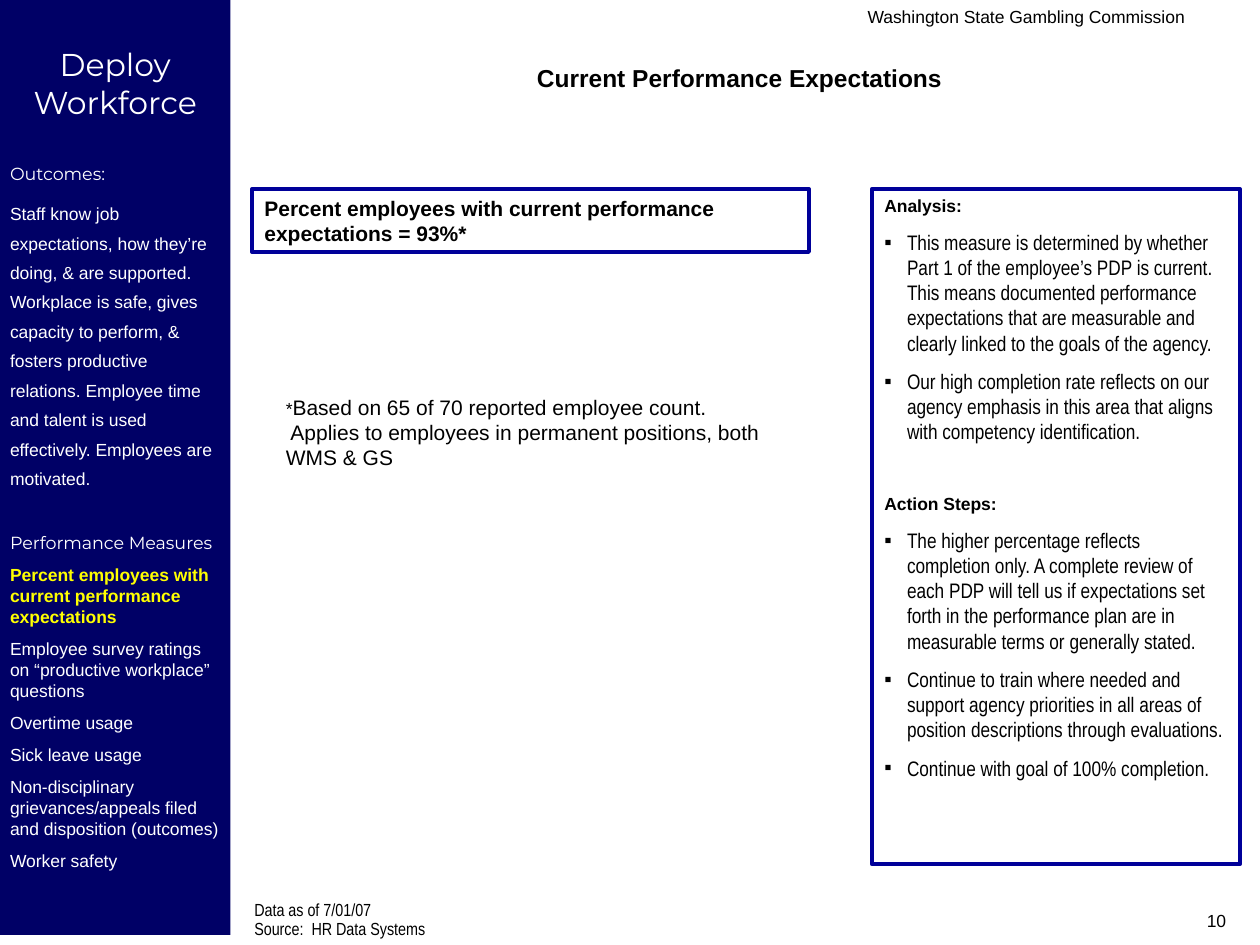
from lxml import etree
from pptx import Presentation
from pptx.dml.color import RGBColor
from pptx.enum.shapes import MSO_SHAPE
from pptx.enum.text import MSO_ANCHOR, PP_ALIGN
from pptx.oxml.ns import qn
from pptx.util import Inches, Pt

RECT = MSO_SHAPE.RECTANGLE
TOP = MSO_ANCHOR.TOP
LEFT, MID, RIGHT = PP_ALIGN.LEFT, PP_ALIGN.CENTER, PP_ALIGN.RIGHT
NAVY = RGBColor(0x00, 0x00, 0x66)
BLUE = RGBColor(0x00, 0x00, 0x99)
WHITE = RGBColor(0xFF, 0xFF, 0xFF)
YELLOW = RGBColor(0xFF, 0xFF, 0x00)
BLACK = RGBColor(0x00, 0x00, 0x00)

deck = Presentation()
deck.slide_width, deck.slide_height = Inches(10), Inches(7.5)
slide = deck.slides.add_slide(deck.slide_layouts[6])


def add_box(place, fill=None, line=None, inset=(0.1, 0.05, 0.1, 0.05)):
    spot = [Inches(v) for v in place]
    if fill or line:
        box = slide.shapes.add_shape(RECT, *spot)
        box.shadow.inherit = False
        if fill:
            box.fill.solid()
            box.fill.fore_color.rgb = fill
        else:
            box.fill.background()
        if line:
            box.line.color.rgb = line
            box.line.width = Pt(2.25)
        else:
            box.line.fill.background()
    else:
        box = slide.shapes.add_textbox(*spot)
    frame = box.text_frame
    sides = ("left", "top", "right", "bottom")
    form = {f"margin_{side}": Inches(v) for side, v in zip(sides, inset)}
    form.update(word_wrap=True, vertical_anchor=TOP)
    for key, val in form.items():
        setattr(frame, key, val)
    return frame


def add_text(frame, text, size=10, name="Arial", color=BLACK, bold=False,
             gap=0, align=LEFT, space=None, bullet=False):
    first = not frame.paragraphs[0].runs
    para = frame.paragraphs[0] if first else frame.add_paragraph()
    if bullet:
        props = para._p.get_or_add_pPr()
        props.set("marL", str(Inches(0.18)))
        props.set("indent", str(-Inches(0.18)))
        tint = etree.SubElement(props, qn("a:buClr"))
        etree.SubElement(tint, qn("a:srgbClr")).set("val", str(BLACK))
        etree.SubElement(props, qn("a:buFont")).set("typeface", "Arial")
        etree.SubElement(props, qn("a:buChar")).set("char", "▪")
    form = {"alignment": align, "line_spacing": space,
            "space_before": Pt(0 if first else gap)}
    for key, val in form.items():
        setattr(para, key, val)
    for row, part in enumerate(text.split("\n")):
        if row:
            para.add_line_break()
        run = para.add_run()
        run.text = part
        for key, val in {"name": name, "size": Pt(size), "bold": bold}.items():
            setattr(run.font, key, val)
        run.font.color.rgb = color
    return para


side = add_box((0, 0, 1.83, 7.42), fill=NAVY, inset=(0.08, 0.36, 0.08, 0.04))
head = {"name": "Montserrat", "color": WHITE}
body = {"color": WHITE, "gap": 6.2}
add_text(side, "Deploy Workforce", size=18, align=MID, **head)
add_text(side, "Outcomes:", gap=24, **head)
add_text(side, "Staff know job expectations, how they’re doing, & are supported. "
         "Workplace is safe, gives capacity to perform, & fosters productive "
         "relations. Employee time and talent is used effectively. "
         "Employees are motivated.", space=1.4, **body)
add_text(side, "Performance Measures", gap=24.6, **head)
add_text(side, "Percent employees with current performance expectations",
         color=YELLOW, bold=True, gap=6.2)
for goal in (
    "Employee survey ratings on “productive workplace” questions",
    "Overtime usage",
    "Sick leave usage",
    "Non-disciplinary grievances/appeals filed and disposition (outcomes)",
    "Worker safety",
):
    add_text(side, goal, **body)

source = add_box((1.92, 7.13, 4.83, 0.37))
for text in ("Data as of 7/01/07", "Source:  HR Data Systems"):
    add_text(source, text, name="Arial Narrow", gap=2.5, space=0.7)

result = add_box((2, 1.5, 4.42, 0.5), line=BLUE)
add_text(result, "Percent employees with current performance expectations = 93%*",
         size=12, bold=True)

title = add_box((1.83, 0.45, 8.08, 0.34))
add_text(title, "Current Performance Expectations", size=14, bold=True, align=MID)

note = add_box((2.17, 3.08, 4.15, 0.7))
para = add_text(note, "*Based on 65 of 70 reported employee count.\n"
                " Applies to employees in permanent positions, both WMS & GS", size=12)
star = para.runs[0]
star.text = star.text[1:]
mark = add_text(note, "*").runs[0]
last = note.paragraphs[-1]
star._r.addprevious(mark._r)
note._txBody.remove(last._p)

panel = add_box((6.92, 1.5, 2.92, 5.36), line=BLUE)
for label, points in (
    ("Analysis:", (
        "This measure is determined by whether Part 1 of the employee’s PDP is "
        "current.  This means documented performance expectations that are "
        "measurable and clearly linked to the goals of the agency.",
        "Our high completion rate reflects on our agency emphasis in this area "
        "that aligns with competency identification.",
    )),
    ("Action Steps:", (
        "The higher percentage reflects completion only. A complete review of "
        "each PDP will tell us if expectations set forth in the performance "
        "plan are in measurable terms or generally stated.",
        "Continue to train where needed and support agency priorities in all "
        "areas of position descriptions through evaluations.",
        "Continue with goal of 100% completion.",
    )),
):
    add_text(panel, label, bold=True, gap=28)
    for point in points:
        add_text(panel, point, size=12, name="Arial Narrow", gap=7.5, bullet=True)

for place, text in (
    ((4.5, 0, 5, 0.25), "Washington State Gambling Commission"),
    ((7.5, 7.17, 2.33, 0.33), "10"),
):
    add_text(add_box(place), text, align=RIGHT)

deck.save("out.pptx")
